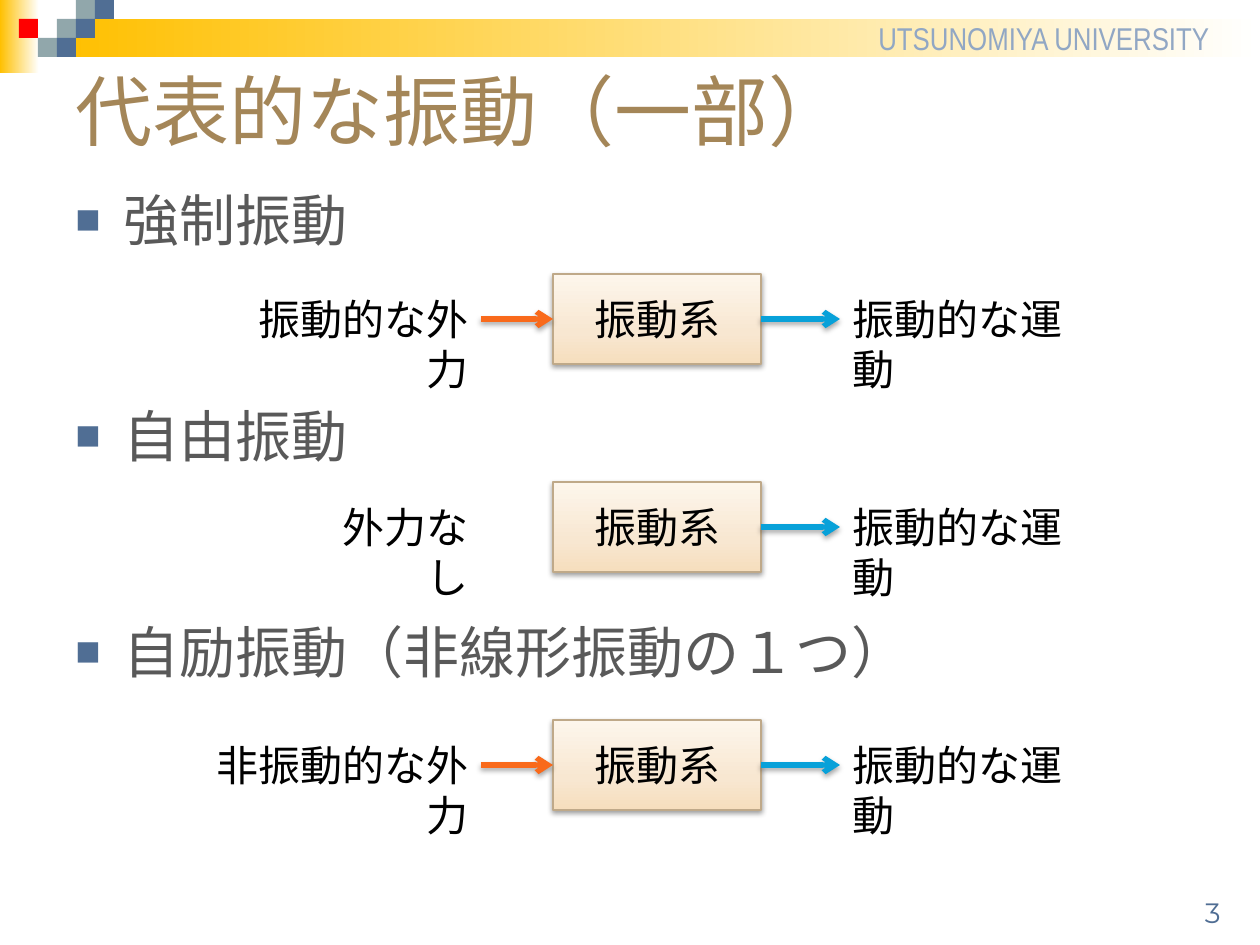
import pptx
import pptx.util
import pptx.dml.color
import pptx.enum.shapes
import pptx.enum.text
import pptx.oxml
import pptx.oxml.ns

PX = 914400 // 126
SHAPES = pptx.enum.shapes.MSO_SHAPE
ALIGN = pptx.enum.text.PP_ALIGN
ANCHOR = pptx.enum.text.MSO_ANCHOR
COLORS = {
    "gold": "FFC000", "white": "FFFFFF", "gray": "91A7AB", "red": "FF0000",
    "blue": "506E94", "university": "91A7C4", "title": "A48658",
    "body": "595959", "black": "000000", "border": "BFA989",
    "sand": "F6DEBD", "cream": "F8E7D1", "ivory": "FDF6EC",
    "input": "F96A1B", "output": "08A1D9",
}


def color(name):
    return pptx.dml.color.RGBColor.from_string(COLORS[name])


def parse_xml(tag, attributes="", content=""):
    namespace = pptx.oxml.ns.nsdecls("a")
    return pptx.oxml.parse_xml(f"<a:{tag} {namespace} {attributes}>{content}</a:{tag}>")


def set_font(paragraph, size, color_name, name="Arial"):
    paragraph.font.size = pptx.util.Pt(size)
    paragraph.font.name = name
    paragraph.font.color.rgb = color(color_name)


def add_rectangle(slide, box, fill=None):
    shape = slide.shapes.add_shape(SHAPES.RECTANGLE, *(value * PX for value in box))
    shape.shadow.inherit = False
    shape.line.fill.background()
    if fill:
        shape.fill.solid()
        shape.fill.fore_color.rgb = color(fill)
    return shape


def set_gradient(shape, stops, angle):
    shape.fill.gradient()
    shape.fill.gradient_angle = angle
    stop_list = shape._element.spPr.find(".//" + pptx.oxml.ns.qn("a:gsLst"))
    for stop in list(stop_list):
        stop_list.remove(stop)
    for position, name in stops:
        stop_list.append(parse_xml("gs", f'pos="{position * 1000}"',
                                   f'<a:srgbClr val="{COLORS[name]}"/>'))


def add_shadow(shape, distance, opacity):
    properties = shape._element.spPr
    effects = properties.find(pptx.oxml.ns.qn("a:effectLst"))
    if effects is None:
        effects = parse_xml("effectLst")
        properties.append(effects)
    effects.append(parse_xml(
        "outerShdw",
        f'blurRad="{pptx.util.Pt(3.1)}" dist="{pptx.util.Pt(distance)}" '
        'dir="5400000" rotWithShape="0"',
        f'<a:srgbClr val="{COLORS["black"]}"><a:alpha val="{opacity * 1000}"/></a:srgbClr>'))


def add_text(slide, box, text, size, color_name, name="Arial",
             align=ALIGN.LEFT, anchor=ANCHOR.TOP, wrap=True):
    shape = slide.shapes.add_textbox(*(value * PX for value in box))
    frame = shape.text_frame
    frame.word_wrap = wrap
    frame.vertical_anchor = anchor
    paragraph = frame.paragraphs[0]
    paragraph.text = text
    paragraph.alignment = align
    set_font(paragraph, size, color_name, name)


def add_arrow(slide, start, end, y, color_name):
    connector = slide.shapes.add_connector(
        pptx.enum.shapes.MSO_CONNECTOR.STRAIGHT, start * PX, y * PX, end * PX, y * PX)
    connector.line.color.rgb = color(color_name)
    connector.line.width = pptx.util.Pt(3)
    line = connector._element.spPr.find(pptx.oxml.ns.qn("a:ln"))
    line.append(parse_xml("tailEnd", 'type="arrow"'))
    add_shadow(connector, 1.8, 35)


def add_header(slide, box):
    left, top, width, height = box
    for bar in ((left, top, 39, height), (left + 62, top + 19, width - 62, 38)):
        set_gradient(add_rectangle(slide, bar), ((0, "gold"), (100, "white")), 0)
    cell = 19
    tiles = {"gray": ((3, 1), (4, 0), (2, 2)), "red": ((1, 1),),
             "blue": ((5, 0), (4, 1), (3, 2))}
    for name, positions in tiles.items():
        for column, row in positions:
            add_rectangle(slide, (left + column * cell, top + row * cell, cell, cell), name)
    add_text(slide, (left + 866, top + 13, 360, 50), "UTSUNOMIYA UNIVERSITY",
             18, "university", "Arial Narrow", wrap=False)


def add_headings(slide, box, headings):
    shape = slide.shapes.add_textbox(*(value * PX for value in box))
    frame = shape.text_frame
    frame.word_wrap = True
    for index, heading in enumerate(headings):
        paragraph = frame.add_paragraph() if index else frame.paragraphs[0]
        paragraph.text = heading
        properties = paragraph._p.get_or_add_pPr()
        properties.set("marL", str(48 * PX))
        properties.set("indent", str(-48 * PX))
        properties.append(parse_xml("buClr", content=f'<a:srgbClr val="{COLORS["blue"]}"/>'))
        properties.append(parse_xml("buSzPct", 'val="75000"'))
        properties.append(parse_xml("buFont", 'typeface="Arial"'))
        properties.append(parse_xml("buChar", 'char="■"'))
        if index:
            paragraph.space_before = pptx.util.Pt(85)
        set_font(paragraph, 32, "body")


def add_system(slide, box, force, force_width, has_input):
    left, top, width, height = box
    block_left, block_width = left + 390, 208
    block_right = block_left + block_width
    input_left, output_right = block_left - 72, block_right + 79
    middle = top + height // 2
    block = add_rectangle(slide, (block_left, top, block_width, height))
    set_gradient(block, ((0, "sand"), (35, "cream"), (100, "ivory")), 90)
    block.line.color.rgb = color("border")
    block.line.width = pptx.util.Pt(0.75)
    add_shadow(block, 1.6, 38)
    block.text_frame.vertical_anchor = ANCHOR.MIDDLE
    paragraph = block.text_frame.paragraphs[0]
    paragraph.text = "振動系"
    paragraph.alignment = ALIGN.CENTER
    set_font(paragraph, 24, "black")
    add_text(slide, (input_left - force_width, top + 13, force_width, 63),
             force, 24, "black", align=ALIGN.RIGHT)
    add_text(slide, (output_right, top + 13, left + width - output_right, 63),
             "振動的な運動", 24, "black")
    if has_input:
        add_arrow(slide, input_left, block_left, middle, "input")
    add_arrow(slide, block_right, output_right, middle, "output")


def main():
    presentation = pptx.Presentation()
    presentation.slide_width = pptx.util.Inches(10)
    presentation.slide_height = pptx.util.Inches(7.5)
    slide = presentation.slides.add_slide(presentation.slide_layouts[6])
    add_header(slide, (0, 0, 1260, 73))
    add_text(slide, (63, 63, 1134, 94), "代表的な振動（一部）", 44, "title", anchor=ANCHOR.MIDDLE)
    add_headings(slide, (63, 179, 1134, 693),
                 ("強制振動", "自由振動", "自励振動（非線形振動の１つ）"))
    systems = ((274, "振動的な外力", 276, True),
               (482, "外力なし", 181, False),
               (720, "非振動的な外力", 318, True))
    for top, force, force_width, has_input in systems:
        add_system(slide, (163, top, 953, 90), force, force_width, has_input)
    add_text(slide, (1145, 882, 88, 53), "3", 16, "blue", "Montserrat",
             ALIGN.RIGHT, ANCHOR.BOTTOM)
    presentation.save("out.pptx")


if __name__ == "__main__":
    main()
